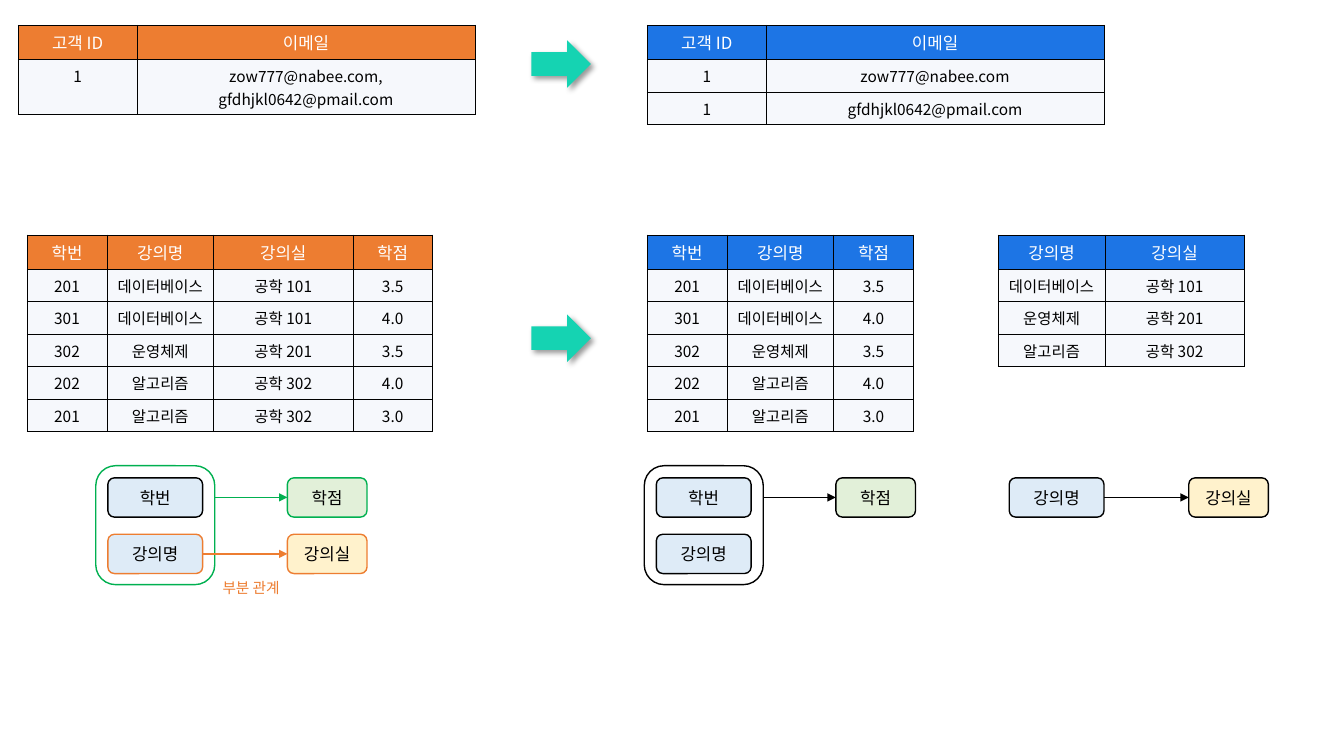
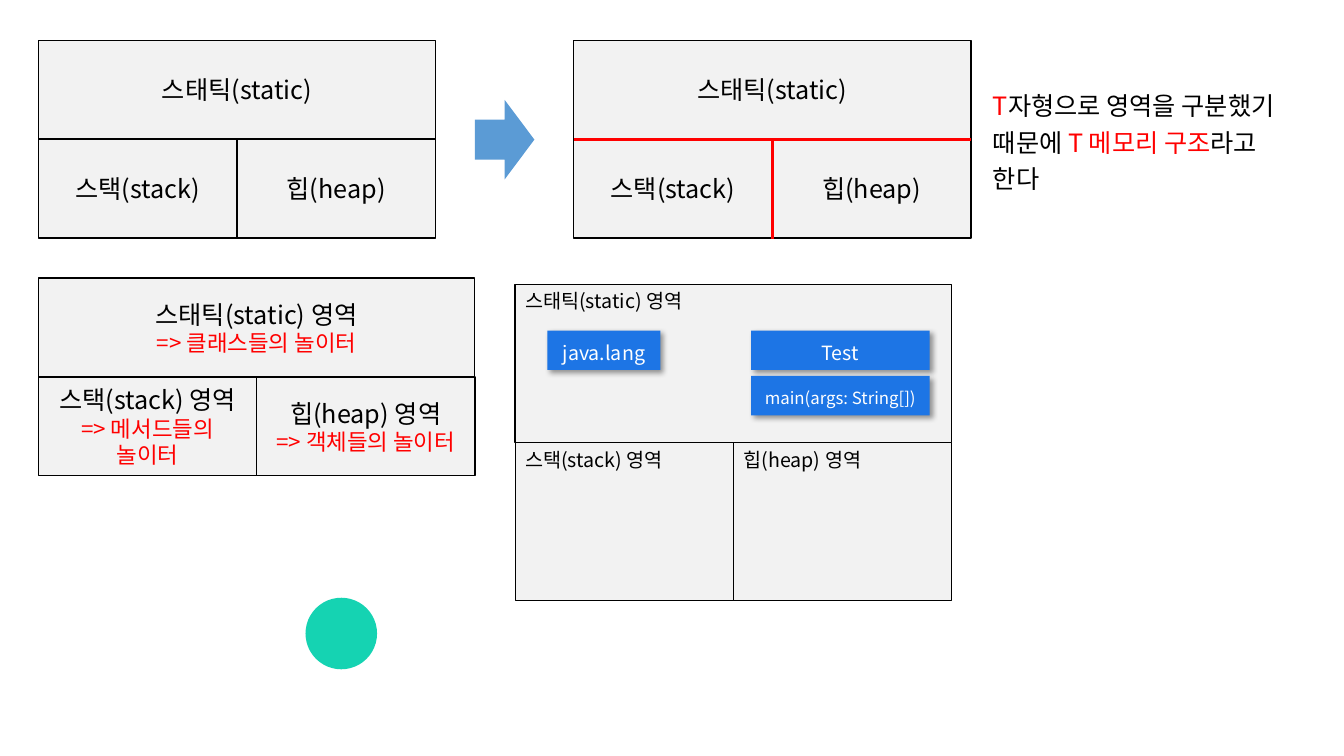
"""Build two slides on table normalization and the T memory structure."""
from dataclasses import dataclass

from lxml.etree import SubElement
from pptx import Presentation
from pptx.dml.color import RGBColor
from pptx.enum.shapes import MSO_CONNECTOR, MSO_SHAPE
from pptx.enum.text import MSO_ANCHOR, PP_ALIGN
from pptx.oxml import parse_xml
from pptx.oxml.ns import nsdecls, qn
from pptx.util import Inches, Pt


@dataclass(frozen=True)
class Theme:
    """Hold the colours, type sizes and line widths."""
    font: str = "Noto Sans CJK KR"
    black: str = "000000"
    white: str = "FFFFFF"
    red: str = "FF0000"
    orange: str = "ED7D31"
    blue: str = "1D75E5"
    green: str = "00B050"
    teal: str = "15D3B2"
    sky: str = "5B9BD5"
    row: str = "F6F8FC"
    panel: str = "F2F2F2"
    key: str = "DEEBF7"
    grade: str = "E2F0D9"
    room: str = "FFF2CC"
    large: float = 18
    note: float = 16
    medium: float = 14
    head: float = 12
    body: float = 11
    small: float = 10.5
    thin: float = 0.5
    line: float = 1
    thick: float = 2.25


T = Theme()

ROW_H = 0.31
COL_W = {"고객 ID": 1.18, "이메일": 3.35, "학번": 0.79, "강의명": 1.06,
         "강의실": 1.38, "학점": 0.79}
ENROLMENTS = [
    ("201", "데이터베이스", "공학 101", "3.5"),
    ("301", "데이터베이스", "공학 101", "4.0"),
    ("302", "운영체제", "공학 201", "3.5"),
    ("202", "알고리즘", "공학 302", "4.0"),
    ("201", "알고리즘", "공학 302", "3.0"),
]
GRADES = [(number, course, grade) for number, course, _, grade in ENROLMENTS]
ROOMS = list(dict.fromkeys((course, room) for _, course, room, _ in ENROLMENTS))
EMAILS = ["zow777@nabee.com", "gfdhjkl0642@pmail.com"]
TABLES = [
    (0.18, 0.25, T.orange, ("고객 ID", "이메일"), [("1", ", ".join(EMAILS))]),
    (6.42, 0.25, T.blue, ("고객 ID", "이메일"), [("1", e) for e in EMAILS]),
    (0.27, 2.33, T.orange, ("학번", "강의명", "강의실", "학점"), ENROLMENTS),
    (6.42, 2.33, T.blue, ("학번", "강의명", "학점"), GRADES),
    (9.9, 2.33, T.blue, ("강의명", "강의실"), ROOMS),
]
STEP_ARROWS = [0.4, 3.12]

DIAGRAM_Y, DIAGRAM_STEP = 4.74, 0.56
KEY_W, RESULT_W, RESULT_DX, NODE_H = 0.94, 0.79, 1.78, 0.39
FRAME_PAD, FRAME_SIZE = 0.12, 1.18
DIAGRAMS = [
    {"x": 1.07, "frame": T.green,
     "keys": [("학번", T.key, T.black), ("강의명", T.key, T.orange)],
     "results": [("학점", T.grade, T.green), ("강의실", T.room, T.orange)],
     "label": "부분 관계"},
    {"x": 6.51, "frame": T.black,
     "keys": [("학번", T.key, T.black), ("강의명", T.key, T.black)],
     "results": [("학점", T.grade, T.black)]},
    {"x": 10.01,
     "keys": [("강의명", T.key, T.black)],
     "results": [("강의실", T.room, T.black)]},
]

AREAS = ["스태틱(static)", "스택(stack)", "힙(heap)"]
PLAYERS = ["클래스들의", "메서드들의", "객체들의"]
PLAIN = [[[(a, T.large, T.black)]] for a in AREAS]
PLAYGROUND = [[[(f"{a} 영역", T.large, T.black)],
               [(f"=> {p} 놀이터", T.note, T.red)]] for a, p in zip(AREAS, PLAYERS)]
NAMED = [[[(f"{a} 영역", T.medium, T.black)]] for a in AREAS]
CENTER = {"align": PP_ALIGN.CENTER, "anchor": MSO_ANCHOR.MIDDLE}
CORNER = {"align": PP_ALIGN.LEFT, "anchor": MSO_ANCHOR.TOP}
MEMORIES = [
    (0.38, 0.4, 3.94, 0.98, PLAIN, CENTER),
    (5.69, 0.4, 3.94, 0.98, PLAIN, CENTER),
    (0.38, 2.76, 4.33, 0.98, PLAYGROUND, CENTER),
    (5.11, 2.82, 4.33, 1.57, NAMED, CORNER),
]
T_LINES = [((5.69, 1.38), (9.63, 1.38)), ((7.66, 1.38), (7.66, 2.37))]
REMARK = [[("T", T.large, T.red),
           ("자형으로 영역을 구분했기 때문에 ", T.large, T.black),
           ("T 메모리 구조", T.large, T.red),
           ("라고 한다", T.large, T.black)]]
CLASS_BOXES = [
    ((5.43, 3.28, 1.12, 0.39), "java.lang", T.medium),
    ((7.45, 3.28, 1.77, 0.39), "Test", T.medium),
    ((7.45, 3.73, 1.77, 0.39), "main(args: String[])", T.head),
]


def rgb(color):
    """Turn a hex string into a colour."""
    return RGBColor.from_string(color)


def apply(obj, **fmt):
    """Set each given attribute on an object."""
    for name, value in fmt.items():
        setattr(obj, name, value)


def write(tf, paras, align=PP_ALIGN.CENTER, anchor=MSO_ANCHOR.MIDDLE,
          spacing=None, inset=(0.1, 0.05)):
    """Fill a text frame with paragraphs of (text, size, colour) runs."""
    dx, dy = map(Inches, inset)
    apply(tf, word_wrap=True, vertical_anchor=anchor, margin_left=dx,
          margin_right=dx, margin_top=dy, margin_bottom=dy)
    for i, runs in enumerate(paras):
        p = tf.add_paragraph() if i else tf.paragraphs[0]
        apply(p, alignment=align)
        if spacing:
            p.line_spacing = spacing
        for text, size, color in runs:
            r = p.add_run()
            r.text = text
            apply(r.font, size=Pt(size), name=T.font)
            r.font.color.rgb = rgb(color)
            SubElement(r.font._element, qn("a:ea"), typeface=T.font)


def add_box(shapes, kind, at, fill=None, line=None, paras=(), shadow=False, **fmt):
    """Add a preset shape with its fill, outline, shadow and text."""
    sp = shapes.add_shape(kind, *map(Inches, at))
    sp.shadow.inherit = False
    if shadow:
        sp._element.spPr.find(qn("a:effectLst")).append(parse_xml(
            f'<a:outerShdw {nsdecls("a")} blurRad="{Pt(4)}" dist="{Pt(3)}" '
            f'dir="2700000" algn="tl" rotWithShape="0"><a:srgbClr val="{T.black}">'
            '<a:alpha val="40000"/></a:srgbClr></a:outerShdw>'))
    if fill:
        sp.fill.solid()
        sp.fill.fore_color.rgb = rgb(fill)
    else:
        sp.fill.background()
    if line:
        sp.line.color.rgb = rgb(line)
        sp.line.width = Pt(T.line)
    else:
        sp.line.fill.background()
    if paras:
        write(sp.text_frame, paras, **fmt)


def add_text(shapes, at, paras, **fmt):
    """Add a wrapped text box."""
    write(shapes.add_textbox(*map(Inches, at)).text_frame, paras, **fmt)


def add_line(shapes, start, end, color, width=T.line, arrow=False):
    """Add a straight connector, with an arrowhead if asked."""
    cx = shapes.add_connector(MSO_CONNECTOR.STRAIGHT, *map(Inches, start + end))
    cx.line.color.rgb = rgb(color)
    cx.line.width = Pt(width)
    if arrow:
        SubElement(cx.line._get_or_add_ln(), qn("a:tailEnd"), type="triangle")
    SubElement(cx._element.spPr, qn("a:effectLst"))


def add_grid(shapes, x, y, head_fill, heads, records):
    """Add a bordered table with a coloured heading row."""
    rows = [heads, *records]
    widths = [COL_W[h] for h in heads]
    tbl = shapes.add_table(len(rows), len(heads), *map(
        Inches, (x, y, sum(widths), ROW_H * len(rows)))).table
    for col, width in zip(tbl.columns, widths):
        col.width = Inches(width)
    for i, values in enumerate(rows):
        tbl.rows[i].height = Inches(ROW_H)
        fill, size, color = ((T.row, T.body, T.black) if i
                             else (head_fill, T.head, T.white))
        for j, value in enumerate(values):
            cell = tbl.cell(i, j)
            write(cell.text_frame, [[(value, size, color)]])
            cell.vertical_anchor = MSO_ANCHOR.TOP
            tc_pr = cell._tc.get_or_add_tcPr()
            for side in ("lnL", "lnR", "lnT", "lnB"):
                tc_pr.append(parse_xml(
                    f'<a:{side} {nsdecls("a")} w="{Pt(T.thin)}"><a:solidFill>'
                    f'<a:srgbClr val="{T.black}"/></a:solidFill></a:{side}>'))
            cell.fill.solid()
            cell.fill.fore_color.rgb = rgb(fill)


def add_diagram(s, x, keys, results, frame=None, label=None):
    """Add a group that shows which keys determine which results."""
    shapes = s.shapes.add_group_shape().shapes
    if frame:
        add_box(shapes, MSO_SHAPE.ROUNDED_RECTANGLE,
                (x - FRAME_PAD, DIAGRAM_Y - FRAME_PAD, FRAME_SIZE, FRAME_SIZE),
                line=frame)
    for nodes, left, width in ((keys, x, KEY_W), (results, x + RESULT_DX, RESULT_W)):
        for i, (text, fill, line) in enumerate(nodes):
            add_box(shapes, MSO_SHAPE.ROUNDED_RECTANGLE,
                    (left, DIAGRAM_Y + i * DIAGRAM_STEP, width, NODE_H),
                    fill, line, [[(text, T.head, T.black)]])
    for i, (_, _, color) in enumerate(results):
        y = DIAGRAM_Y + i * DIAGRAM_STEP + NODE_H / 2
        from_frame = frame and i == 0
        start = x + (FRAME_SIZE - FRAME_PAD if from_frame else KEY_W)
        add_line(shapes, (start, y), (x + RESULT_DX, y), color, arrow=True)
    if label:
        add_text(shapes, (x + 1.01, DIAGRAM_Y + 0.9, 0.82, 0.37),
                 [[(label, T.small, T.orange)]])


def add_memory(shapes, x, y, w, h, texts, fmt):
    """Add a wide area above two half-width areas."""
    places = [(x, y, w, h), (x, y + h, w / 2, h), (x + w / 2, y + h, w / 2, h)]
    for at, paras in zip(places, texts):
        add_box(shapes, MSO_SHAPE.RECTANGLE, at, T.panel, T.black, paras, **fmt)


def build_normalization(s):
    """Draw the tables before and after, and their dependencies."""
    for table in TABLES:
        add_grid(s.shapes, *table)
    for y in STEP_ARROWS:
        add_box(s.shapes, MSO_SHAPE.RIGHT_ARROW, (5.27, y, 0.59, 0.47), T.teal,
                shadow=True)
    for diagram in DIAGRAMS:
        add_diagram(s, **diagram)


def build_memory(s):
    """Draw the memory areas and what lives in them."""
    for memory in MEMORIES:
        add_memory(s.shapes, *memory)
    add_box(s.shapes, MSO_SHAPE.RIGHT_ARROW, (4.71, 0.99, 0.59, 0.79), T.sky)
    for start, end in T_LINES:
        add_line(s.shapes, start, end, T.red, T.thick)
    add_text(s.shapes, (9.75, 0.84, 3.33, 1.08), REMARK, align=PP_ALIGN.LEFT,
             spacing=1.2, inset=(0.1, 0))
    for at, text, size in CLASS_BOXES:
        add_box(s.shapes, MSO_SHAPE.RECTANGLE, at, T.blue,
                paras=[[(text, size, T.white)]], shadow=True, spacing=1.2)
    add_box(s.shapes, MSO_SHAPE.OVAL, (3.03, 5.93, 0.71, 0.71), T.teal)


def main():
    """Build and save the presentation."""
    prs = Presentation()
    apply(prs, slide_width=Inches(13.33), slide_height=Inches(7.5))
    for build in (build_normalization, build_memory):
        build(prs.slides.add_slide(prs.slide_layouts[6]))
    prs.save("out.pptx")


if __name__ == "__main__":
    main()
